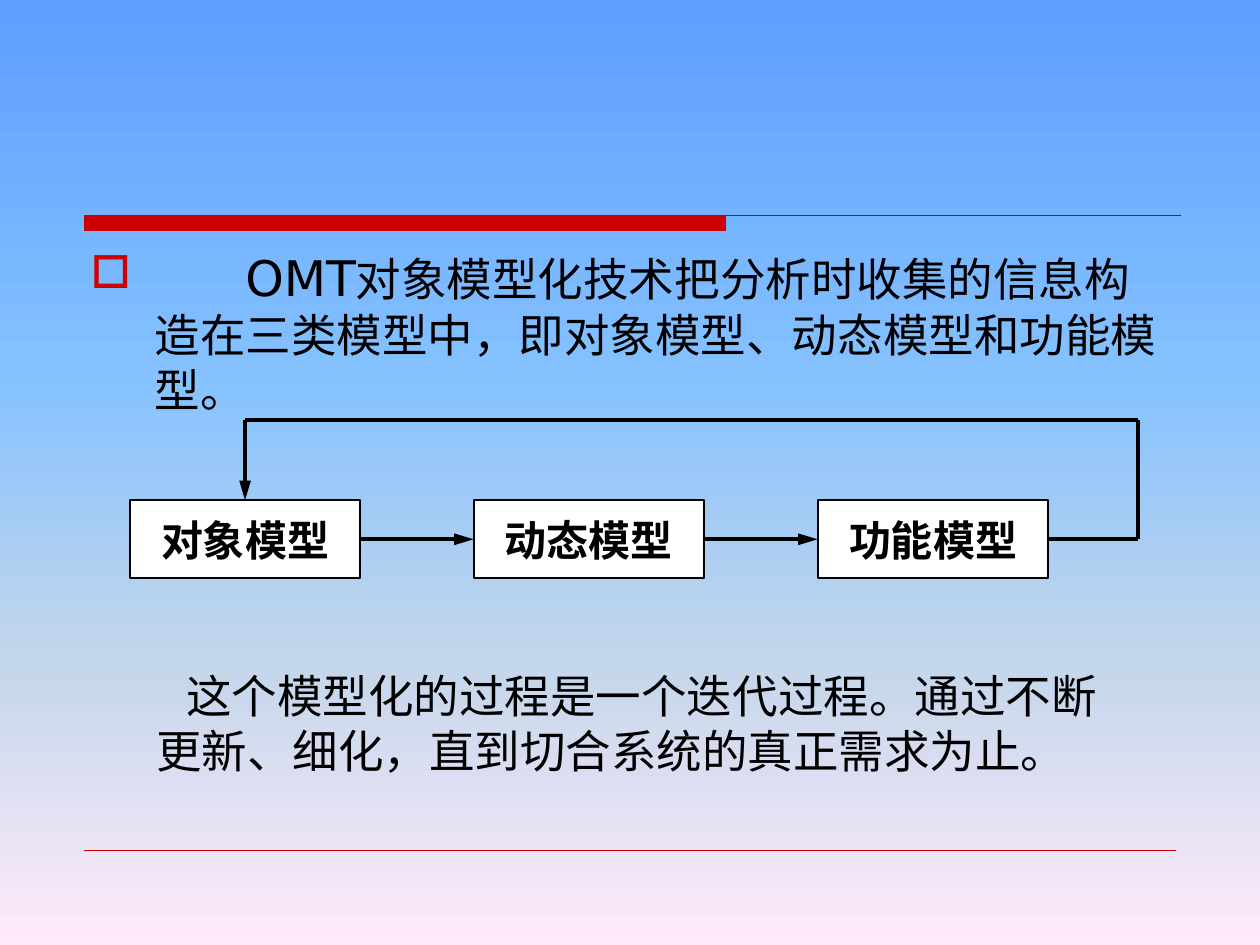
import pptx
import pptx.util
import pptx.dml.color
import pptx.enum.shapes
import pptx.enum.text
import pptx.oxml.ns
from lxml import etree
from pptx.util import Inches

COLORS = {"accent": "CC0000", "ink": "000000", "box": "FFFFFF", "rule": "1F3864"}
SKY = [(0, "5E9EFF"), (40, "85C2FF"), (70, "C4D6EB"), (100, "FFEBFA")]
CJK = "Noto Sans CJK SC"
INTRO = [
    ("\t", CJK, 26),
    ("　", CJK, 16.5),
    ("OMT", "DejaVu Sans", 28),
    ("对象模型化技术把分析时收集的信息构造在三类模型中，即对象模型、动态模型和功能模型。", CJK, 26),
]
CLOSING = [("这个模型化的过程是一个迭代过程。通过不断更新、细化，直到切合系统的真正需求为止。", CJK, 26)]
MODELS = ["对象模型", "动态模型", "功能模型"]

BOX_LEFT, BOX_TOP, BOX_STEP = 1.03, 3.97, 2.73
BOX_WIDTH, BOX_HEIGHT = 1.83, 0.62
LOOP_TOP, LOOP_RIGHT = 3.33, 9.03
LINE_PITCH = 31.3


def rgb(name):
    return pptx.dml.color.RGBColor.from_string(COLORS[name])


def add_xml(parent, tag, **attributes):
    return etree.SubElement(parent, pptx.oxml.ns.qn(tag), **attributes)


def add_span(para, text, face, size, bold=False):
    """Add a run whose East Asian face is always the CJK one."""
    span = para.add_run()
    span.text = text
    span.font.size = pptx.util.Pt(size)
    span.font.bold = bold
    span.font.color.rgb = rgb("ink")
    span.font.name = face
    add_xml(span._r.get_or_add_rPr(), "a:ea", typeface=CJK)


def add_rect(page, left, top, width, height, fill, line, line_width):
    rect = page.shapes.add_shape(
        pptx.enum.shapes.MSO_SHAPE.RECTANGLE,
        Inches(left), Inches(top), Inches(width), Inches(height))
    rect.shadow.inherit = False
    rect.fill.solid()
    rect.fill.fore_color.rgb = rgb(fill)
    rect.line.color.rgb = rgb(line)
    rect.line.width = pptx.util.Pt(line_width)
    return rect


def add_line(page, start, end, color="ink", width=2.25, arrow=False):
    line = page.shapes.add_connector(
        pptx.enum.shapes.MSO_CONNECTOR.STRAIGHT,
        *(Inches(value) for value in (*start, *end)))
    line.line.color.rgb = rgb(color)
    line.line.width = pptx.util.Pt(width)
    if arrow:
        add_xml(line.line._get_or_add_ln(), "a:tailEnd", type="triangle", w="med", len="lg")
    add_xml(line._element.spPr, "a:effectLst")
    return line


def add_text(page, spans, left, top, width, height):
    frame = page.shapes.add_textbox(
        Inches(left), Inches(top), Inches(width), Inches(height)).text_frame
    frame.word_wrap = True
    para = frame.paragraphs[0]
    para.line_spacing = pptx.util.Pt(LINE_PITCH)
    for span in spans:
        add_span(para, *span)
    return para


def paint_background(page):
    fill = page.background.fill
    fill.gradient()
    fill.gradient_angle = 270
    stops = page.background._cSld.find(".//" + pptx.oxml.ns.qn("a:gsLst"))
    for stop in list(stops):
        stops.remove(stop)
    for percent, color in SKY:
        stop = add_xml(stops, "a:gs", pos=str(percent * 1000))
        add_xml(stop, "a:srgbClr", val=color)


def add_intro(page):
    para = add_text(page, INTRO, 0.62, 1.95, 8.75, 1.5)
    para.space_before = pptx.util.Pt(5)
    props = para._p.get_or_add_pPr()
    props.set("marL", str(Inches(0.51)))
    props.set("indent", str(-Inches(0.51)))
    add_xml(add_xml(props, "a:buClr"), "a:srgbClr", val=COLORS["accent"])
    add_xml(props, "a:buFont", typeface="Wingdings", charset="2")
    add_xml(props, "a:buChar", char="o")


def add_closing(page):
    para = add_text(page, CLOSING, 1.14, 5.25, 7.95, 0.97)
    para._p.get_or_add_pPr().set("indent", str(Inches(0.24)))


def add_model(page, index, name):
    box = add_rect(page, BOX_LEFT + index * BOX_STEP, BOX_TOP,
                   BOX_WIDTH, BOX_HEIGHT, "box", "ink", 1)
    frame = box.text_frame
    frame.word_wrap = False
    frame.vertical_anchor = pptx.enum.text.MSO_ANCHOR.MIDDLE
    para = frame.paragraphs[0]
    para.alignment = pptx.enum.text.PP_ALIGN.CENTER
    add_span(para, name, "Times New Roman", 24, bold=True)
    return box


def add_cycle(page):
    boxes = [add_model(page, index, name) for index, name in enumerate(MODELS)]
    middle = BOX_TOP + BOX_HEIGHT / 2
    for index, (source, target) in enumerate(zip(boxes, boxes[1:])):
        left = BOX_LEFT + index * BOX_STEP + BOX_WIDTH
        arrow = add_line(page, (left, middle), (left + BOX_STEP - BOX_WIDTH, middle), arrow=True)
        arrow.begin_connect(source, 3)
        arrow.end_connect(target, 1)

    loop_left = BOX_LEFT + BOX_WIDTH / 2
    last_right = BOX_LEFT + 2 * BOX_STEP + BOX_WIDTH
    exit_line = add_line(page, (last_right, middle), (LOOP_RIGHT, middle))
    exit_line.begin_connect(boxes[-1], 3)
    add_line(page, (LOOP_RIGHT, middle), (LOOP_RIGHT, LOOP_TOP))
    add_line(page, (LOOP_RIGHT, LOOP_TOP), (loop_left, LOOP_TOP))
    back = add_line(page, (loop_left, LOOP_TOP), (loop_left, BOX_TOP), arrow=True)
    back.end_connect(boxes[0], 0)


def main():
    deck = pptx.Presentation()
    deck.slide_width, deck.slide_height = Inches(10), Inches(7.5)
    page = deck.slides.add_slide(deck.slide_layouts[6])
    paint_background(page)
    add_line(page, (0.67, 1.71), (9.37, 1.71), "rule", 0.75)
    add_rect(page, 0.67, 1.71, 5.09, 0.12, "accent", "accent", 0.75)
    add_line(page, (0.67, 6.75), (9.33, 6.75), "accent", 0.25)
    add_intro(page)
    add_cycle(page)
    add_closing(page)
    deck.save("out.pptx")


if __name__ == "__main__":
    main()
